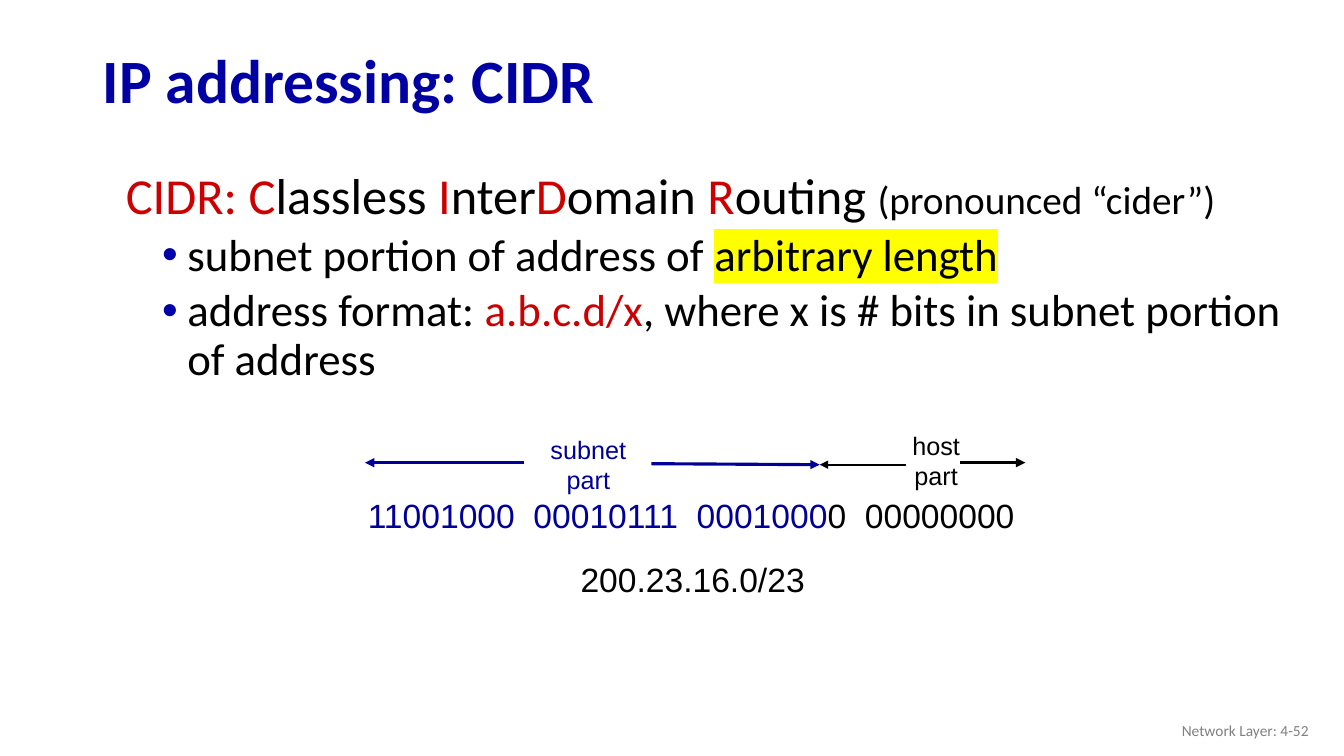
from lxml.etree import SubElement
from pptx import Presentation
from pptx.dml.color import RGBColor
from pptx.enum.shapes import MSO_CONNECTOR
from pptx.enum.text import MSO_ANCHOR, PP_ALIGN
from pptx.oxml import parse_xml
from pptx.oxml.ns import nsdecls, qn
from pptx.util import Inches, Pt

TITLE_BLUE, BULLET_BLUE, SUBNET_BLUE = "0000A3", "0000A8", "000099"
RED, BLACK, GRAY, YELLOW = "CC0000", "000000", "808080", "FFFF00"

TITLE = [[("IP addressing: CIDR", TITLE_BLUE)]]
HEADING = [
    ("CIDR: C", RED), ("lassless ", BLACK), ("I", RED), ("nter", BLACK),
    ("D", RED), ("omain ", BLACK), ("R", RED), ("outing ", BLACK),
    ("(pronounced “cider”)", BLACK, {"size": 28}),
]
BULLETS = [
    [("subnet portion of address of ", BLACK),
     ("arbitrary length", BLACK, {"highlight": YELLOW})],
    [("address format: ", BLACK), ("a.b.c.d/x", RED),
     (", where x is # bits in subnet portion of address", BLACK)],
]
FOOTER = [[("Network Layer: 4-52", GRAY)]]

DIAGRAM_LABELS = [
    ((3.55, 4.86, 6.7, 0.5), 24, PP_ALIGN.LEFT,
     [[("11001000  00010111  0001000", SUBNET_BLUE), ("0  00000000", BLACK)]]),
    ((5.36, 4.26, 0.95, 0.7), 18, PP_ALIGN.CENTER,
     [[("subnet", SUBNET_BLUE)], [("part", SUBNET_BLUE)]]),
    ((8.95, 4.22, 0.67, 0.7), 18, PP_ALIGN.CENTER,
     [[("host", BLACK)], [("part", BLACK)]]),
    ((5.66, 5.5, 2.43, 0.5), 24, PP_ALIGN.LEFT, [[("200.23.16.0/23", BLACK)]]),
]
ARROWS = [
    ((5.2, 4.59), (3.62, 4.59), SUBNET_BLUE, 2.25),
    ((6.46, 4.6), (8.13, 4.61), SUBNET_BLUE, 2.25),
    ((8.99, 4.61), (8.13, 4.61), BLACK, 1.5),
    ((9.52, 4.59), (10.17, 4.59), BLACK, 2.25),
]


def color(value):
    return RGBColor.from_string(value)


def add_run(paragraph, text, text_color, size, font, bold=False, highlight=None):
    run = paragraph.add_run()
    run.text = text
    run.font.size = Pt(size)
    run.font.bold = bold
    run.font.name = font
    run.font.fill.solid()
    run.font.fill.fore_color.rgb = color(text_color)
    if highlight:
        fill = run.font._element.find(qn("a:solidFill"))
        fill.addnext(parse_xml(
            f'<a:highlight {nsdecls("a")}><a:srgbClr val="{highlight}"/></a:highlight>'))


def add_paragraph(frame, runs, first=False, align=PP_ALIGN.LEFT, spacing=None,
                  before=0, indent=None, bullet=None, size=18, font="Calibri", bold=False):
    paragraph = frame.paragraphs[0] if first else frame.add_paragraph()
    properties = paragraph._p.get_or_add_pPr()
    if indent:
        left, hanging = indent
        properties.set("marL", str(Inches(left)))
        properties.set("indent", str(Inches(hanging)))
    if bullet:
        bullet_color = SubElement(properties, qn("a:buClr"))
        SubElement(bullet_color, qn("a:srgbClr"), val=bullet)
        SubElement(properties, qn("a:buFont"), typeface="Arial")
        SubElement(properties, qn("a:buChar"), char="•")
        paragraph.level = 1
    paragraph.alignment = align
    if spacing:
        paragraph.line_spacing = spacing
    if before:
        paragraph.space_before = Pt(before)
    for text, text_color, *extra in runs:
        add_run(paragraph, text, text_color,
                **{"size": size, "font": font, "bold": bold, **(extra[0] if extra else {})})


def add_text(slide, box, paragraphs, anchor=MSO_ANCHOR.TOP, wrap=True, **style):
    frame = slide.shapes.add_textbox(*map(Inches, box)).text_frame
    frame.word_wrap = wrap
    frame.vertical_anchor = anchor
    for index, runs in enumerate(paragraphs):
        add_paragraph(frame, runs, first=index == 0, **style)
    return frame


def add_arrow(slide, start, end, line_color, width):
    arrow = slide.shapes.add_connector(
        MSO_CONNECTOR.STRAIGHT, *map(Inches, (*start, *end)))
    arrow.line.color.rgb = color(line_color)
    arrow.line.width = Pt(width)
    SubElement(arrow.line._get_or_add_ln(), qn("a:tailEnd"), type="triangle")
    SubElement(arrow._element.spPr, qn("a:effectLst"))


def main():
    presentation = Presentation()
    presentation.slide_width = Inches(13.33)
    presentation.slide_height = Inches(7.5)
    slide = presentation.slides.add_slide(presentation.slide_layouts[6])

    add_text(slide, (0.92, 0.34, 11.5, 0.98), TITLE, anchor=MSO_ANCHOR.MIDDLE,
             size=44, bold=True, spacing=0.9)
    body = add_text(slide, (1, 1.65, 12.13, 2.27), [HEADING],
                    size=36, spacing=0.9, indent=(0.39, -0.24))
    for runs in BULLETS:
        add_paragraph(body, runs, size=32, spacing=0.9, before=5,
                      indent=(0.76, -0.25), bullet=BULLET_BLUE)

    for box, size, align, paragraphs in DIAGRAM_LABELS:
        add_text(slide, box, paragraphs, wrap=False, size=size, align=align, font="Arial")
    for arrow in ARROWS:
        add_arrow(slide, *arrow)

    add_text(slide, (10.08, 7.05, 3, 0.4), FOOTER, anchor=MSO_ANCHOR.MIDDLE,
             size=11, align=PP_ALIGN.RIGHT)
    presentation.save("out.pptx")


if __name__ == "__main__":
    main()
